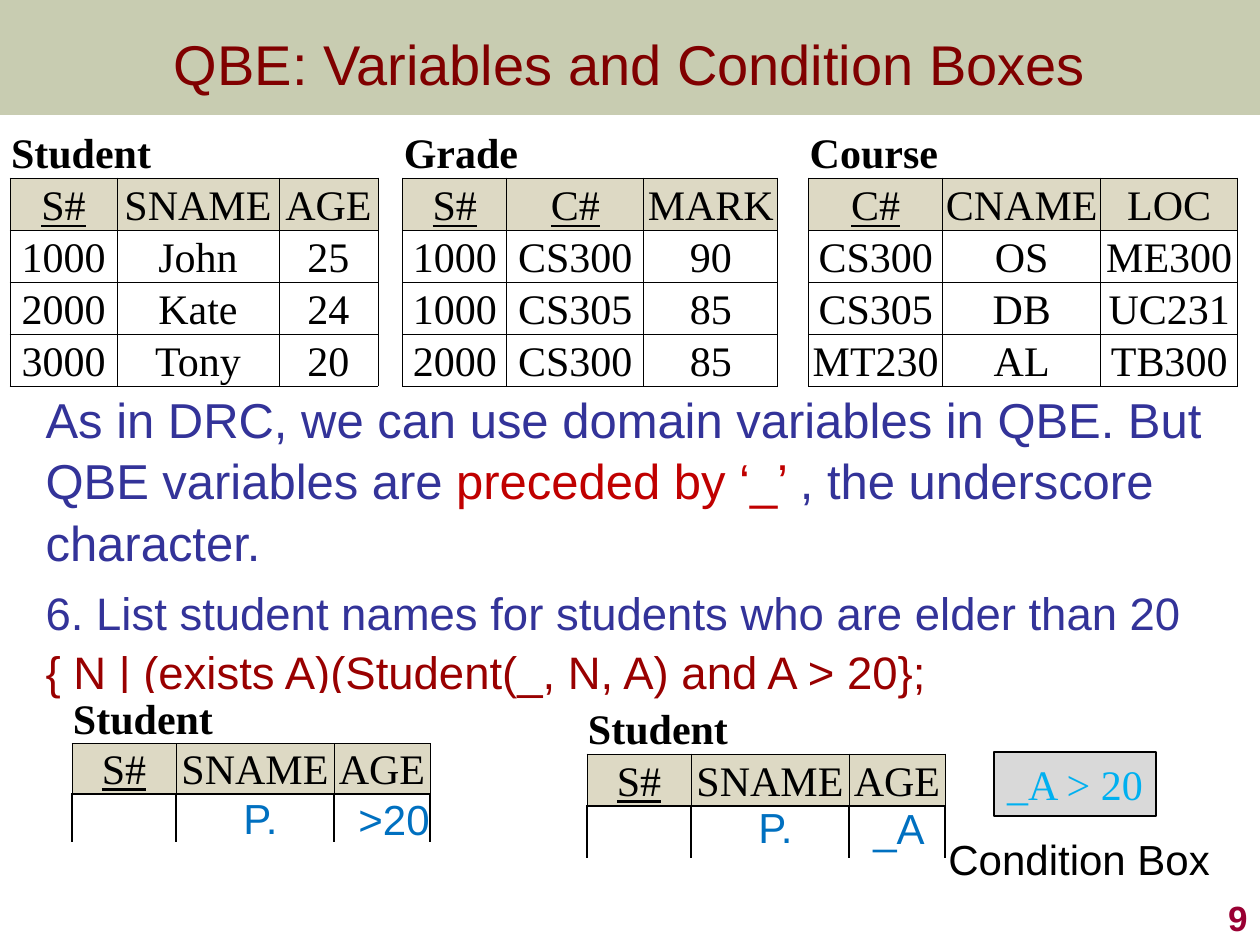
import dataclasses

import lxml.etree
import pptx
import pptx.dml.color
import pptx.enum.shapes
import pptx.enum.text
import pptx.oxml.ns
import pptx.util

ALIGN = pptx.enum.text.PP_ALIGN
ANCHOR = pptx.enum.text.MSO_ANCHOR
FIT = pptx.enum.text.MSO_AUTO_SIZE
RECTANGLE = pptx.enum.shapes.MSO_SHAPE.RECTANGLE
qn = pptx.oxml.ns.qn


@dataclasses.dataclass(frozen=True)
class Theme:
    """Colours, fonts and type sizes of the deck."""
    sans: str = "Arial"
    serif: str = "Times New Roman"
    black: str = "000000"
    white: str = "FFFFFF"
    olive: str = "677228"
    maroon: str = "800000"
    indigo: str = "333399"
    red: str = "C00000"
    formula: str = "990000"
    crimson: str = "990033"
    query: str = "0070C0"
    condition: str = "00B0F0"
    header: str = "DDD9C4"
    grey: str = "D9D9D9"
    title_size: int = 32
    lead_size: int = 28
    task_size: int = 26
    table_size: int = 24
    number_size: int = 20


def px(length):
    """Turn px into EMU."""
    return pptx.util.Emu(round(length * 914400 / 126))


def rgb(colour):
    """Turn a hex string into a colour."""
    return pptx.dml.color.RGBColor.from_string(colour)


class SlideBuilder:
    """Hold the theme and the current page, and add elements to it."""

    def __init__(self, theme, page):
        """Keep the theme and the page."""
        self.theme = theme
        self.page = page

    def style(self, span, size, colour, font=None, bold=False, underline=False):
        """Format one run."""
        span.font.name = font or self.theme.sans
        span.font.size = pptx.util.Pt(size)
        span.font.color.rgb = rgb(colour)
        span.font.bold = bold
        span.font.underline = underline

    def place(self, box, left, top, width, height):
        """Move and size a shape."""
        box.left, box.top, box.width, box.height = map(px, (left, top, width, height))

    def band(self, width, height, colour, alpha):
        """Put a translucent band behind everything else."""
        box = self.rectangle(0, 0, width, height, colour)
        shade = box.element.find(".//" + qn("a:srgbClr"))
        lxml.etree.SubElement(shade, qn("a:alpha"), val=str(alpha * 1000))
        self.page.shapes[0].element.addprevious(box.element)

    def rectangle(self, left, top, width, height, fill):
        """Add a plain rectangle without outline."""
        box = self.page.shapes.add_shape(RECTANGLE, *map(px, (left, top, width, height)))
        box.shadow.inherit = False
        box.fill.solid()
        box.fill.fore_color.rgb = rgb(fill)
        box.line.fill.background()
        return box

    def title(self, text, width, height):
        """Fill the title placeholder."""
        box = self.page.shapes.title
        self.place(box, 0, 0, width, height)
        frame = box.text_frame
        frame.text = text
        frame.auto_size = FIT.NONE
        frame.vertical_anchor = ANCHOR.MIDDLE
        frame.paragraphs[0].alignment = ALIGN.CENTER
        self.style(frame.paragraphs[0].runs[0], self.theme.title_size, self.theme.maroon)

    def body(self, left, top, width, height, paragraphs):
        """Fill the body placeholder with (size, line spacing, hanging px, spans)."""
        box = self.page.placeholders[1]
        self.place(box, left, top, width, height)
        frame = box.text_frame
        frame.auto_size = FIT.NONE
        frame.margin_right = 0
        for index, (size, spacing, hanging, spans) in enumerate(paragraphs):
            para = frame.add_paragraph() if index else frame.paragraphs[0]
            properties = para._p.get_or_add_pPr()
            properties.set("marL", str(px(hanging)))
            properties.set("indent", str(-px(hanging)))
            lxml.etree.SubElement(properties, qn("a:buNone"))
            para.line_spacing = spacing
            para.space_before = pptx.util.Pt(6 if index else 0)
            for text, colour in spans:
                span = para.add_run()
                span.text = text
                self.style(span, size, colour)

    def label(self, left, top, width, text, colour):
        """Add a one-line text box."""
        box = self.page.shapes.add_textbox(*map(px, (left, top, width, 63)))
        box.text_frame.word_wrap = False
        box.text_frame.text = text
        self.style(box.text_frame.paragraphs[0].runs[0], self.theme.table_size, colour)

    def number(self, left, top, width, height, text):
        """Add the page number."""
        box = self.page.shapes.add_textbox(*map(px, (left, top, width, height)))
        frame = box.text_frame
        frame.word_wrap = True
        frame.text = text
        frame.vertical_anchor = ANCHOR.BOTTOM
        frame.paragraphs[0].alignment = ALIGN.RIGHT
        self.style(frame.paragraphs[0].runs[0], self.theme.number_size, self.theme.crimson, bold=True)

    def condition(self, left, top, width, height, text):
        """Add the outlined condition box."""
        box = self.rectangle(left, top, width, height, self.theme.grey)
        box.line.color.rgb = rgb(self.theme.black)
        box.line.width = pptx.util.Pt(0.75)
        box.text_frame.word_wrap = False
        box.text_frame.text = text
        para = box.text_frame.paragraphs[0]
        para.alignment = ALIGN.CENTER
        self.style(para.runs[0], self.theme.table_size, self.theme.condition, self.theme.serif)

    def cell(self, cell, text="", fill=None, edges="", weight=0.5, centred=True, **emphasis):
        """Fill one cell and draw the named edges (L, R, T, B)."""
        cell.margin_left = cell.margin_right = px(1)
        cell.margin_top = cell.margin_bottom = 0
        cell.vertical_anchor = ANCHOR.BOTTOM
        properties = cell._tc.get_or_add_tcPr()
        for edge in "LRTB":
            line = lxml.etree.SubElement(properties, qn("a:ln" + edge), w=str(pptx.util.Pt(weight)))
            if edge in edges:
                paint = lxml.etree.SubElement(line, qn("a:solidFill"))
                lxml.etree.SubElement(paint, qn("a:srgbClr"), val=self.theme.black)
            else:
                lxml.etree.SubElement(line, qn("a:noFill"))
        cell.fill.solid()
        cell.fill.fore_color.rgb = rgb(fill or self.theme.white)
        if text:
            cell.text = text
            para = cell.text_frame.paragraphs[0]
            para.alignment = ALIGN.CENTER if centred else ALIGN.LEFT
            self.style(para.runs[0], self.theme.table_size, self.theme.black, self.theme.serif, **emphasis)

    def relations(self, left, top, row_height, widths, relations):
        """Add one table with three-column relations, a gap column between them."""
        count = 2 + len(relations[0][2])
        size = (left, top, sum(widths), row_height * count)
        table = self.page.shapes.add_table(count, len(widths), *map(px, size)).table
        table.first_row = table.horz_banding = False
        for column, width in zip(table.columns, widths):
            column.width = px(width)
        for row in table.rows:
            row.height = px(row_height)
        for index, (name, fields, records) in enumerate(relations):
            start = index * 4
            if index:
                for row in range(count):
                    self.cell(table.cell(row, start - 1), edges="LR" if row else "")
            for offset, field in enumerate(fields):
                column = start + offset
                self.cell(table.cell(0, column), "" if offset else name, edges="B", centred=False, bold=True)
                self.cell(table.cell(1, column), field, self.theme.header, "LRTB", underline=field.endswith("#"))
                for row, record in enumerate(records, 2):
                    text = record[offset]
                    edges, weight = ("LRTB", 0.5) if text else ("LRT", 1)
                    self.cell(table.cell(row, column), text, edges=edges, weight=weight)
            table.cell(0, start).merge(table.cell(0, start + 2))


def main():
    """Build the deck and save it."""
    theme = Theme()
    deck = pptx.Presentation()
    deck.slide_width, deck.slide_height = px(1260), px(945)
    slide = SlideBuilder(theme, deck.slides.add_slide(deck.slide_layouts[1]))
    slide.band(1260, 115, theme.olive, 36)
    slide.title("QBE: Variables and Condition Boxes", 1260, 126)
    slide.body(33, 380, 1196, 325, [
        (theme.lead_size, 1.05, 0, [
            ("As in DRC, we can use domain variables in QBE. But QBE variables are ", theme.indigo),
            ("preceded by ‘_’ ", theme.red),
            (", the underscore character.", theme.indigo)]),
        (theme.task_size, 1.05, 0, [("6. List student names for students who are elder than 20", theme.indigo)]),
        (theme.task_size, 0.9, 48, [("{ N | (exists A)(Student(_, N, A) and A > 20};", theme.formula)]),
    ])
    slide.number(998, 882, 262, 63, "9")

    student = ("S#", "SNAME", "AGE")
    for left, top, row_height, answer, answer_width in ((72, 693, 48, ">20", 97), (587, 702, 52, "_A", 77)):
        slide.relations(left, top, row_height, (104, 158, 96), [("Student", student, [("", "", "")])])
        slide.label(left + 159, top + 93, 60, "P.", theme.query)
        slide.label(left + 274, top + 94, answer_width, answer, theme.query)
    slide.condition(994, 752, 162, 64, "_A > 20")

    slide.relations(10, 126, 52, (107, 162, 99, 25, 104, 137, 134, 31, 134, 158, 137), [
        ("Student", student, [("1000", "John", "25"), ("2000", "Kate", "24"), ("3000", "Tony", "20")]),
        ("Grade", ("S#", "C#", "MARK"),
         [("1000", "CS300", "90"), ("1000", "CS305", "85"), ("2000", "CS300", "85")]),
        ("Course", ("C#", "CNAME", "LOC"),
         [("CS300", "OS", "ME300"), ("CS305", "DB", "UC231"), ("MT230", "AL", "TB300")]),
    ])
    slide.label(936, 827, 301, "Condition Box", theme.black)
    deck.save("out.pptx")


if __name__ == "__main__":
    main()
